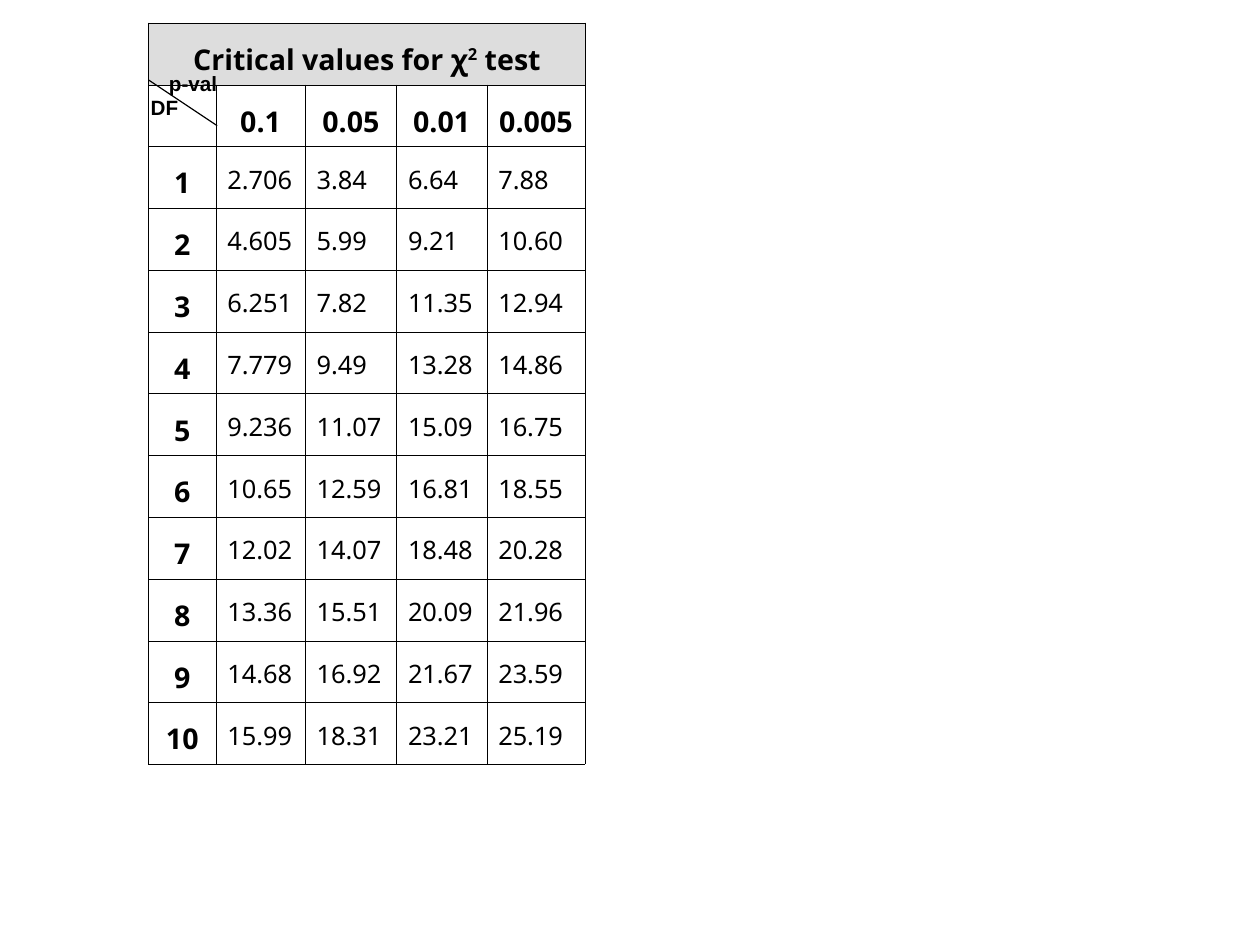
"""Build a slide with a table of critical values for the chi-squared test."""
from pptx import Presentation
from pptx.dml.color import RGBColor
from pptx.enum.shapes import MSO_CONNECTOR
from pptx.enum.text import PP_ALIGN
from pptx.oxml import parse_xml
from pptx.oxml.ns import nsdecls
from pptx.oxml.xmlchemy import OxmlElement
from pptx.util import Cm, Inches, Pt

TITLE_RUNS = [("Critical values for χ", False), ("2", True), (" test", False)]
P_VALUES = ["0.1", "0.05", "0.01", "0.005"]
CRITICAL_VALUES = [
    ["2.706", "3.84", "6.64", "7.88"],
    ["4.605", "5.99", "9.21", "10.60"],
    ["6.251", "7.82", "11.35", "12.94"],
    ["7.779", "9.49", "13.28", "14.86"],
    ["9.236", "11.07", "15.09", "16.75"],
    ["10.65", "12.59", "16.81", "18.55"],
    ["12.02", "14.07", "18.48", "20.28"],
    ["13.36", "15.51", "20.09", "21.96"],
    ["14.68", "16.92", "21.67", "23.59"],
    ["15.99", "18.31", "23.21", "25.19"],
]
AXIS_LABELS = [("DF", 1.22, 0.8, 0.44), ("p-val", 1.38, 0.59, 0.62)]

BLACK = RGBColor(0x00, 0x00, 0x00)
TITLE_GREY = RGBColor(0xDD, 0xDD, 0xDD)
SLIDE_WIDTH, SLIDE_HEIGHT = Cm(28), Cm(21)
TABLE_LEFT, TABLE_TOP, TABLE_HEIGHT = 1.3, 0.2, 6.49
COLUMN_WIDTHS = [0.59, 0.78, 0.8, 0.79, 0.86]
LABEL_HEIGHT = 0.32
BORDER_WIDTH = Pt(0.17)


def style_paragraph(paragraph, font_name, size, bold, line_spacing):
    paragraph.line_spacing = line_spacing
    paragraph.font.name = font_name
    paragraph.font.size = Pt(size)
    paragraph.font.bold = bold
    paragraph.font.color.rgb = BLACK


def style_cell(cell, is_header):
    paragraph = cell.text_frame.paragraphs[0]
    style_paragraph(paragraph, "Noto Sans", 18 if is_header else 16, is_header, 1.29)
    paragraph.alignment = PP_ALIGN.CENTER if is_header else PP_ALIGN.LEFT
    cell.fill.background()
    properties = cell._tc.get_or_add_tcPr()
    for position, side in enumerate("LRTB"):
        border = parse_xml(
            f'<a:ln{side} {nsdecls("a")} w="{BORDER_WIDTH}"><a:solidFill>'
            f'<a:srgbClr val="{BLACK}"/></a:solidFill></a:ln{side}>')
        properties.insert(position, border)


def add_values_table(slide):
    rows = [[""] * len(COLUMN_WIDTHS), ["", *P_VALUES]]
    rows += [[str(degree), *values] for degree, values in enumerate(CRITICAL_VALUES, 1)]
    table = slide.shapes.add_table(
        len(rows), len(COLUMN_WIDTHS), Inches(TABLE_LEFT), Inches(TABLE_TOP),
        Inches(sum(COLUMN_WIDTHS)), Inches(TABLE_HEIGHT)).table
    table.first_row = table.horz_banding = False
    for column, width in zip(table.columns, COLUMN_WIDTHS):
        column.width = Inches(width)
    for row_index, texts in enumerate(rows):
        for column_index, text in enumerate(texts):
            cell = table.cell(row_index, column_index)
            if text:
                cell.text = text
            style_cell(cell, row_index < 2 or column_index == 0)

    title = table.cell(0, 0)
    title.merge(table.cell(0, len(COLUMN_WIDTHS) - 1))
    title.fill.solid()
    title.fill.fore_color.rgb = TITLE_GREY
    for text, is_superscript in TITLE_RUNS:
        run = title.text_frame.paragraphs[0].add_run()
        run.text = text
        if is_superscript:
            run.font._element.set("baseline", "33000")


def add_axis_corner(slide):
    diagonal = slide.shapes.add_connector(
        MSO_CONNECTOR.STRAIGHT, Inches(1.9), Inches(1.1), Inches(TABLE_LEFT), Inches(0.7))
    diagonal.line.color.rgb = BLACK
    diagonal.line.width = Pt(0.75)
    diagonal._element.spPr.append(OxmlElement("a:effectLst"))
    for text, left, top, width in AXIS_LABELS:
        label = slide.shapes.add_textbox(
            Inches(left), Inches(top), Inches(width), Inches(LABEL_HEIGHT))
        label.text_frame.word_wrap = False
        paragraph = label.text_frame.paragraphs[0]
        paragraph.text = text
        style_paragraph(paragraph, "Arial", 13, True, 0.93)


def main():
    presentation = Presentation()
    presentation.slide_width, presentation.slide_height = SLIDE_WIDTH, SLIDE_HEIGHT
    slide = presentation.slides.add_slide(presentation.slide_layouts[6])
    add_values_table(slide)
    add_axis_corner(slide)
    presentation.save("out.pptx")


if __name__ == "__main__":
    main()
